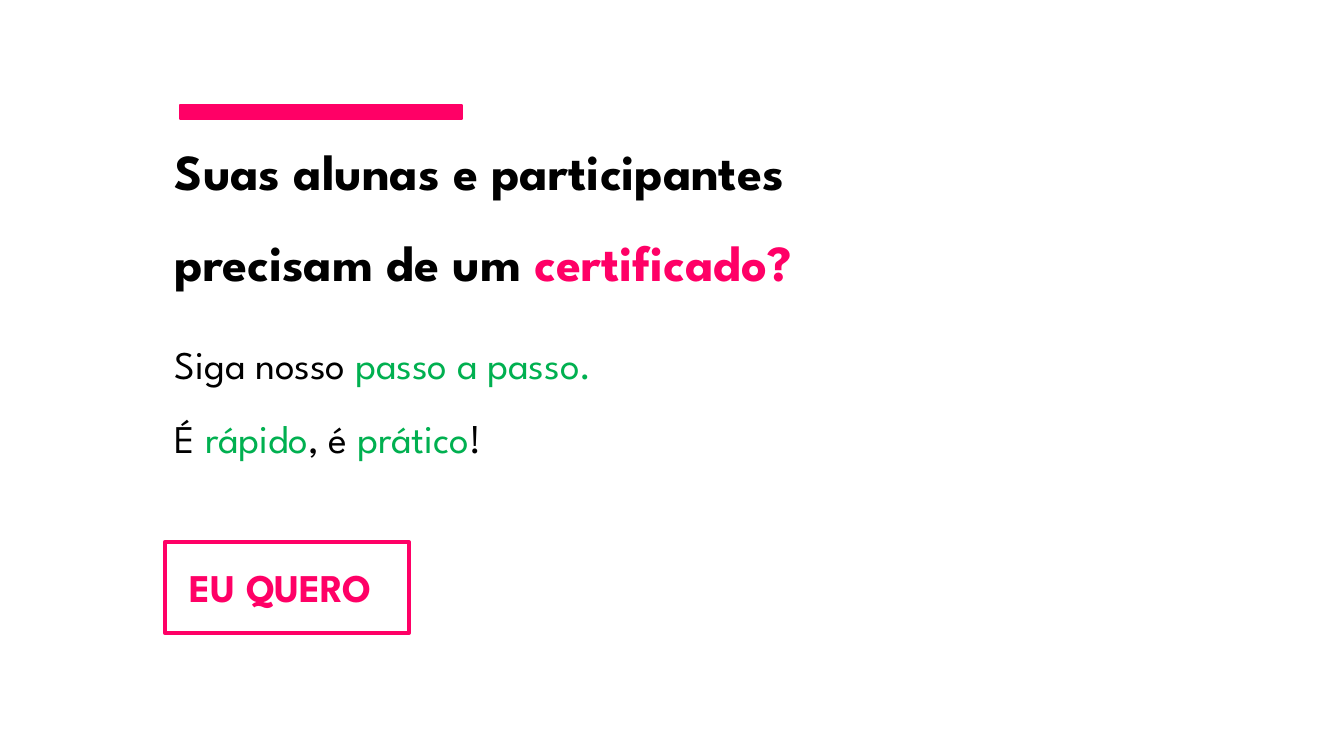
from pptx import Presentation
from pptx import util as u
from pptx.dml.color import RGBColor
from pptx.enum import shapes, text

BLACK = "000000"
PINK = "FF0066"
GREEN = "00B050"


def color(value):
    return RGBColor.from_string(value)


def px(length):
    return u.Emu(round(length * 914400 / 100.8))


class Deck:
    font = "League Spartan"

    def __init__(self, width, height):
        self.prs = Presentation()
        self.prs.slide_width = px(width)
        self.prs.slide_height = px(height)
        self.slide = self.prs.slides.add_slide(self.prs.slide_layouts[6])

    def text(self, box, runs, size=28, bold=False, spacing=1.0, parent=None):
        owner = parent or self.slide
        frame = owner.shapes.add_textbox(*map(px, box)).text_frame
        frame.word_wrap = True
        frame.auto_size = text.MSO_AUTO_SIZE.SHAPE_TO_FIT_TEXT
        paragraph = frame.paragraphs[0]
        paragraph.line_spacing = spacing
        for words, shade in runs:
            run = paragraph.add_run()
            run.text = words
            run.font.name = self.font
            run.font.size = u.Pt(size)
            run.font.bold = bold
            run.font.color.rgb = color(shade)

    def rect(self, box, line_width, fill=None, parent=None):
        owner = parent or self.slide
        rect = owner.shapes.add_shape(shapes.MSO_SHAPE.RECTANGLE, *map(px, box))
        rect.shadow.inherit = False
        if fill:
            rect.fill.solid()
            rect.fill.fore_color.rgb = color(fill)
        else:
            rect.fill.background()
        rect.line.color.rgb = color(PINK)
        rect.line.width = u.Pt(line_width)

    def button(self, box, label_box, label):
        group = self.slide.shapes.add_group_shape()
        self.text(label_box, [(label, PINK)], bold=True, parent=group)
        self.rect(box, 3, parent=group)


def main():
    deck = Deck(1344, 756)
    left = 165
    indent = 180
    top = 105

    deck.text(
        (left, top, 763, 181),
        [("Suas alunas e participantes precisam de um ", BLACK), ("certificado?", PINK)],
        size=36, bold=True, spacing=1.5,
    )
    deck.text(
        (left, 335, 523, 57),
        [("Siga nosso ", BLACK), ("passo a passo.", GREEN)],
    )
    deck.text(
        (left, 409, 399, 57),
        [("É ", BLACK), ("rápido", GREEN), (", é ", BLACK), ("prático", GREEN), ("!", BLACK)],
    )
    deck.button((left, 542, 244, 91), (indent, 558, 213, 57), "EU QUERO")
    deck.rect((indent, top, 282, 14), 1, fill=PINK)

    deck.prs.save("out.pptx")


if __name__ == "__main__":
    main()
